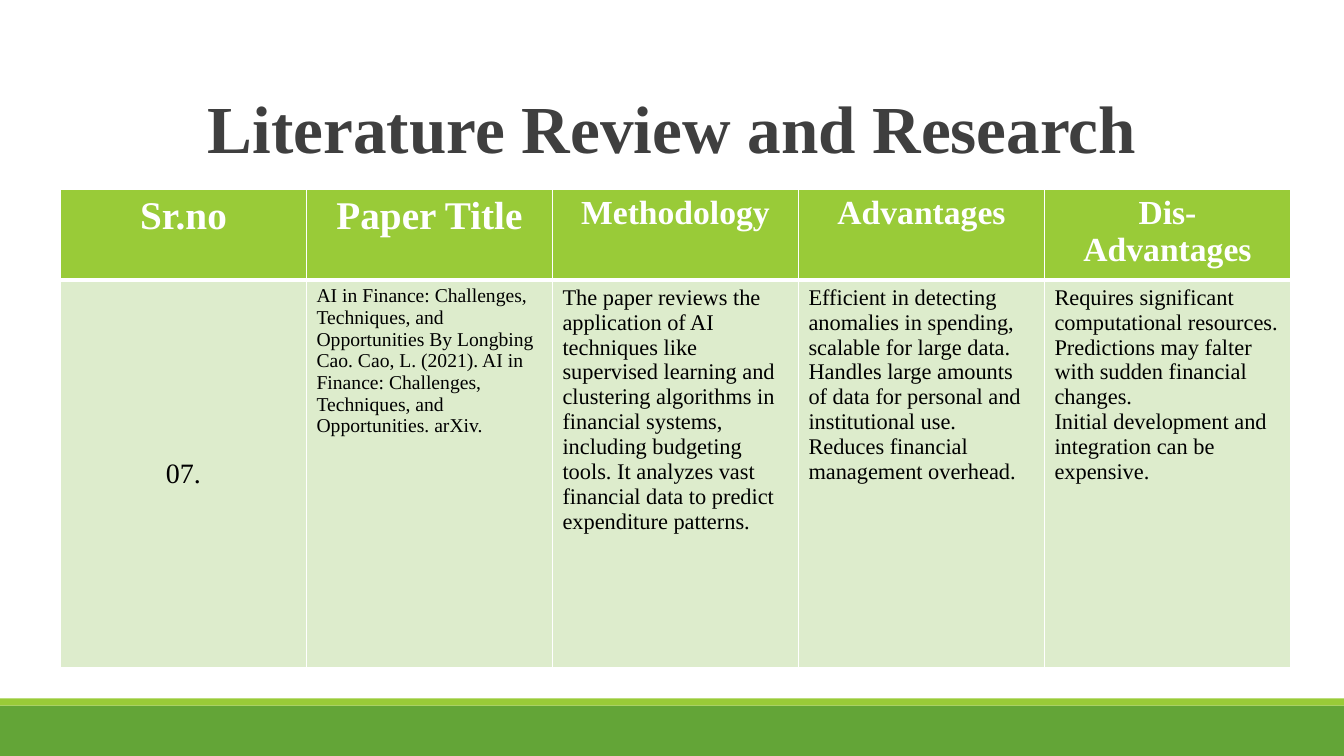
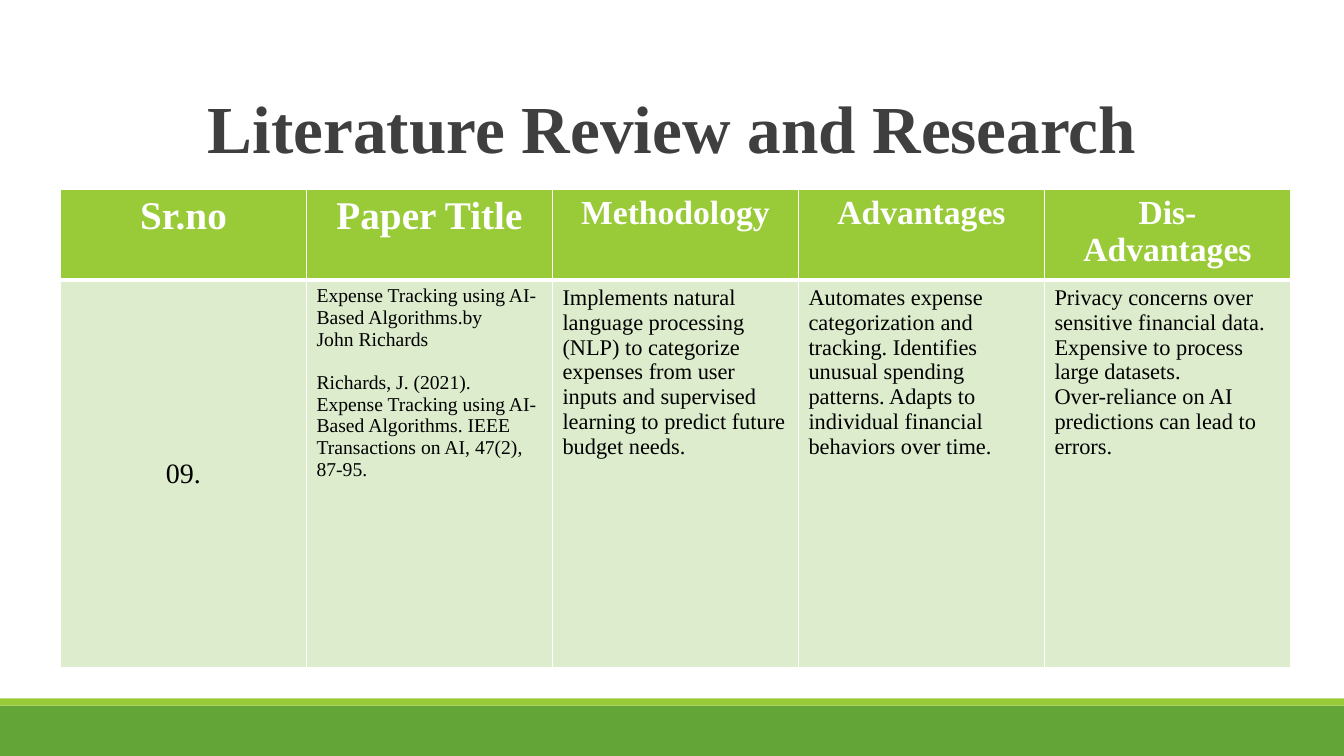
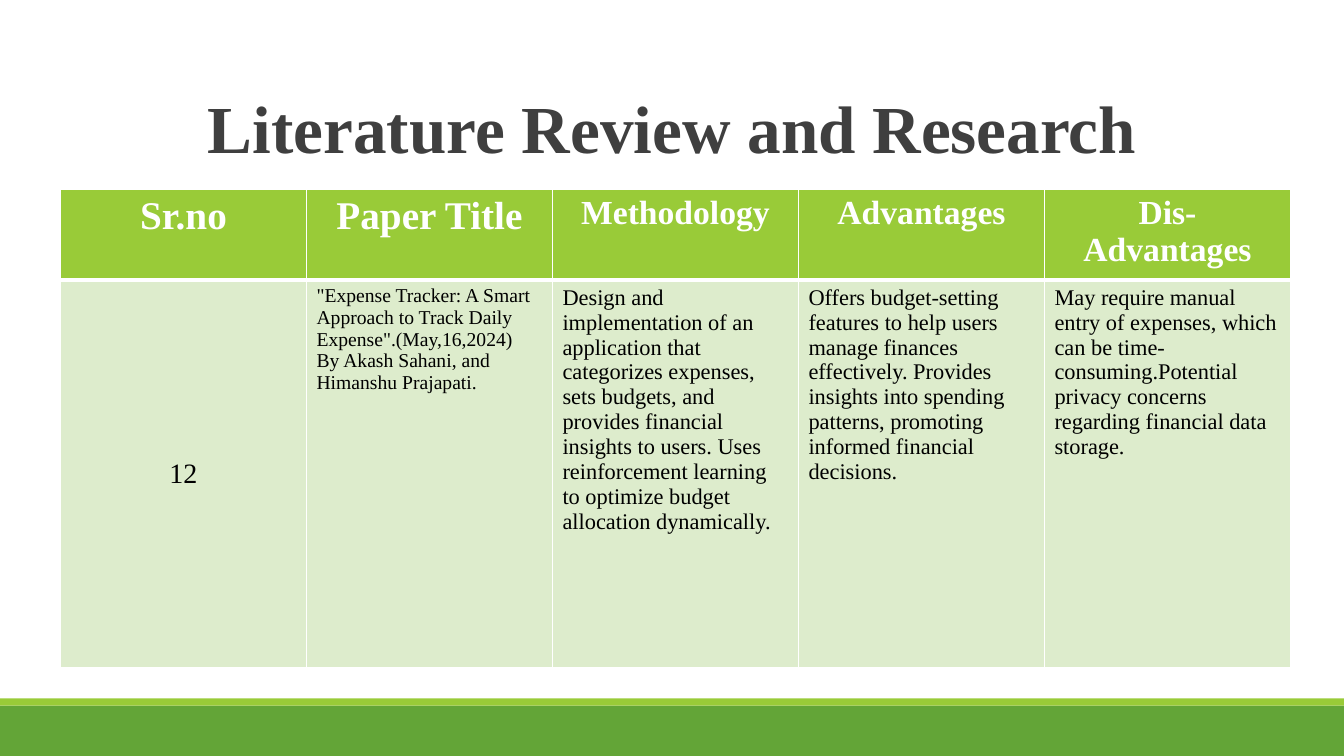
from dataclasses import dataclass

from lxml import etree
from pptx import Presentation, util as u
from pptx.dml.color import RGBColor
from pptx.enum import shapes, text
from pptx.oxml import ns

FONT = "Times New Roman"
COLORS = {
    "title": "3F3F3F",
    "band": "63A537",
    "accent": "99CB38",
    "body": "DDECCC",
    "white": "FFFFFF",
    "black": "000000",
}
WIDTH, HEIGHT = 13.33, 7.5
TITLE = "Literature Review and Research"
TABLE_LEFT, TABLE_TOP = 0.6, 1.88
COLUMN_WIDTH, ROW_HEIGHTS = 2.44, (0.84, 3.84)
GAP_LINE = 15.5  # space that separates an author line from its citation


@dataclass(frozen=True)
class Column:
    heading: str
    heading_size: int
    body_size: int
    centred: bool = False


@dataclass(frozen=True)
class Review:
    """One paper: a list of paragraphs for each column of the table."""
    number: str
    paper: list[str]
    methodology: list[str]
    advantages: list[str]
    drawbacks: list[str]
    citation: str = ""


COLUMNS = [
    Column("Sr.no", 28, 20, centred=True),
    Column("Paper Title", 28, 14),
    Column("Methodology", 24, 16),
    Column("Advantages", 24, 16),
    Column("Dis-Advantages", 24, 16),
]

REVIEWS = [
    Review(
        "07.",
        ["AI in Finance: Challenges, Techniques, and Opportunities By Longbing Cao. "
         "Cao, L. (2021). AI in Finance: Challenges, Techniques, and Opportunities. arXiv."],
        ["The paper reviews the application of AI techniques like supervised learning and "
         "clustering algorithms in financial systems, including budgeting tools. "
         "It analyzes vast financial data to predict expenditure patterns."],
        ["Efficient in detecting anomalies in spending, scalable for large data.",
         "Handles large amounts of data for personal and institutional use.",
         "Reduces financial management overhead."],
        ["Requires significant computational resources.",
         "Predictions may falter with sudden financial changes.",
         "Initial development and integration can be expensive."],
    ),
    Review(
        "09.",
        ["Expense Tracking using AI-Based Algorithms.by", "John Richards"],
        ["Implements natural language processing (NLP) to categorize expenses from user "
         "inputs and supervised learning to predict future budget needs."],
        ["Automates expense categorization and tracking. Identifies unusual spending "
         "patterns. Adapts to individual financial behaviors over time."],
        ["Privacy concerns over sensitive financial data.",
         "Expensive to process large datasets.",
         "Over-reliance on AI predictions can lead to errors."],
        citation="Richards, J. (2021). Expense Tracking using AI-Based Algorithms. "
                 "IEEE Transactions on AI, 47(2), 87-95.",
    ),
    Review(
        "12",
        ['"Expense Tracker: A Smart Approach to Track Daily Expense".(May,16,2024)',
         "By Akash Sahani, and Himanshu Prajapati."],
        ["Design and implementation of an application that categorizes expenses, sets "
         "budgets, and provides financial insights to users. Uses reinforcement learning "
         "to optimize budget allocation dynamically."],
        ["Offers budget-setting features to help users manage finances effectively. "
         "Provides insights into spending patterns, promoting informed financial decisions."],
        ["May require manual entry of expenses, which can be time-consuming."
         "Potential privacy concerns regarding financial data storage."],
    ),
]


def color(name: str) -> RGBColor:
    return RGBColor.from_string(COLORS[name])


def style(para, size: int, color_name: str, bold: bool, centred: bool) -> None:
    para.font.name, para.font.size, para.font.bold = FONT, u.Pt(size), bold
    para.font.color.rgb = color(color_name)
    para.alignment = text.PP_ALIGN.CENTER if centred else text.PP_ALIGN.LEFT


# Shared frame: bottom bands and title
def add_band(page, top: float, height: float, color_name: str) -> None:
    band = page.shapes.add_shape(shapes.MSO_SHAPE.RECTANGLE, 0, u.Inches(top),
                                 u.Inches(WIDTH), u.Inches(height))
    band.shadow.inherit = False
    band.fill.solid()
    band.fill.fore_color.rgb = color(color_name)
    band.line.fill.background()


def add_title(page) -> None:
    box = page.shapes.add_textbox(u.Inches(1.17), u.Inches(0.12), u.Inches(11), u.Inches(1.59))
    frame = box.text_frame
    frame.word_wrap = True
    frame.vertical_anchor = text.MSO_ANCHOR.BOTTOM
    para = frame.paragraphs[0]
    para.text, para.line_spacing = TITLE, 0.85
    style(para, 48, "title", bold=True, centred=True)


# Review table
def set_borders(cell, widths: dict[str, int]) -> None:
    properties = cell._tc.get_or_add_tcPr()
    for side, width in widths.items():
        line = etree.SubElement(properties, ns.qn(f"a:ln{side}"), w=str(u.Pt(width)))
        fill = etree.SubElement(line, ns.qn("a:solidFill"))
        etree.SubElement(fill, ns.qn("a:srgbClr"), val=COLORS["white"])


def fill_cell(cell, lines: list[str], size: int, centred: bool, is_header: bool) -> None:
    set_borders(cell, {"L": 1, "R": 1, "T": 1 if is_header else 3, "B": 3 if is_header else 1})
    cell.fill.solid()
    cell.fill.fore_color.rgb = color("accent" if is_header else "body")
    frame = cell.text_frame
    for index, line in enumerate(lines):
        para = frame.add_paragraph() if index else frame.paragraphs[0]
        para.text = line
        style(para, size, "white" if is_header else "black", is_header, centred)


def add_review_table(page, review: Review) -> None:
    frame = page.shapes.add_table(
        len(ROW_HEIGHTS), len(COLUMNS), u.Inches(TABLE_LEFT), u.Inches(TABLE_TOP),
        u.Inches(COLUMN_WIDTH * len(COLUMNS)), u.Inches(sum(ROW_HEIGHTS)))
    table = frame.table
    table.horz_banding = False
    for row, height in zip(table.rows, ROW_HEIGHTS):
        row.height = u.Inches(height)

    citation = [review.citation] if review.citation else []
    bodies = [[review.number], review.paper + citation, review.methodology,
              review.advantages, review.drawbacks]
    for index, (column, body) in enumerate(zip(COLUMNS, bodies)):
        table.columns[index].width = u.Inches(COLUMN_WIDTH)
        fill_cell(table.cell(0, index), [column.heading], column.heading_size, True, True)
        fill_cell(table.cell(1, index), body, column.body_size, column.centred, False)
    table.cell(1, 0).vertical_anchor = text.MSO_ANCHOR.MIDDLE
    if citation:
        table.cell(1, 1).text_frame.paragraphs[-1].space_before = u.Pt(GAP_LINE)


def main() -> None:
    deck = Presentation()
    deck.slide_width, deck.slide_height = u.Inches(WIDTH), u.Inches(HEIGHT)
    for review in REVIEWS:
        page = deck.slides.add_slide(deck.slide_layouts[6])
        add_band(page, 7, 0.5, "band")
        add_band(page, 6.93, 0.07, "accent")
        add_title(page)
        add_review_table(page, review)
    deck.save("out.pptx")


if __name__ == "__main__":
    main()
